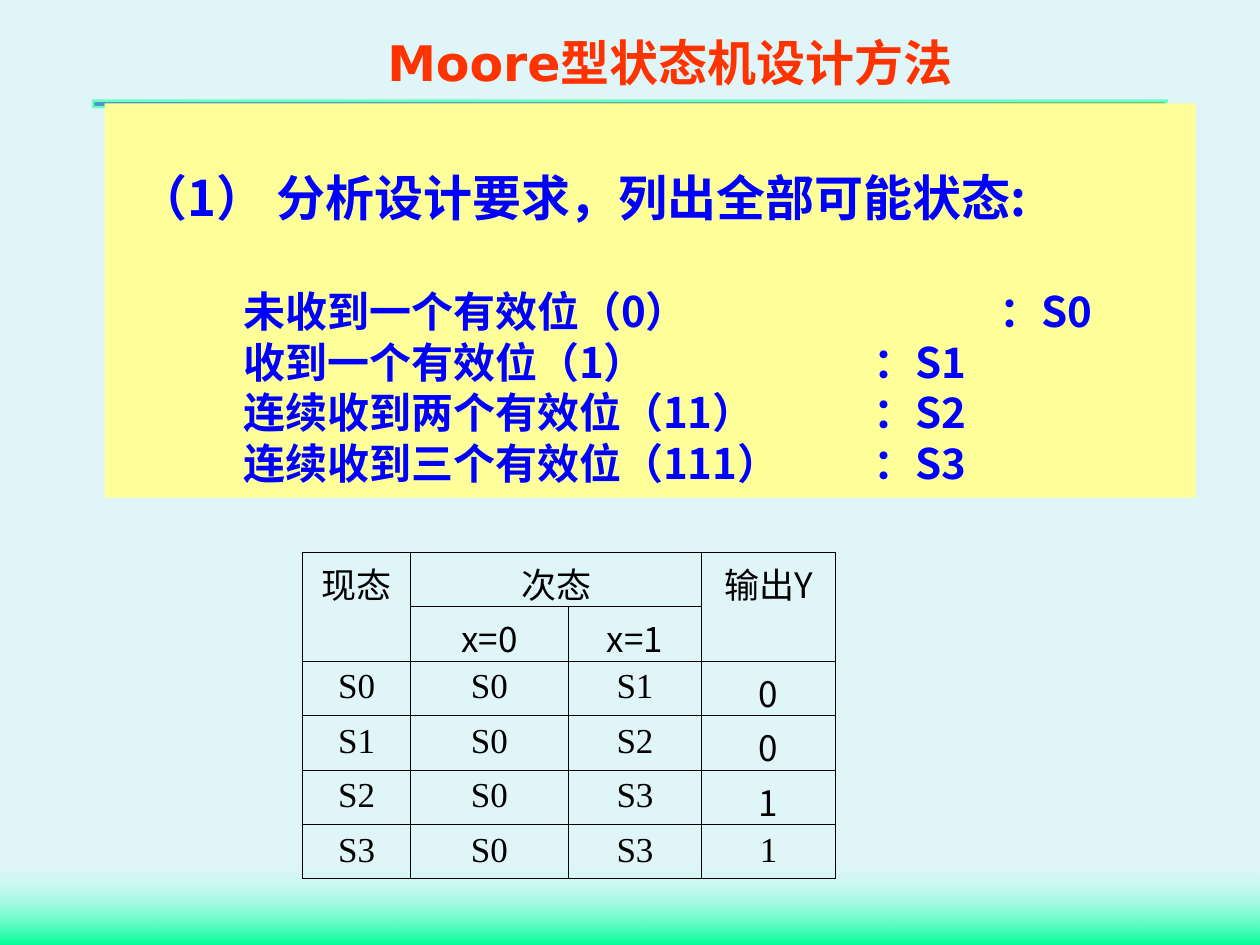
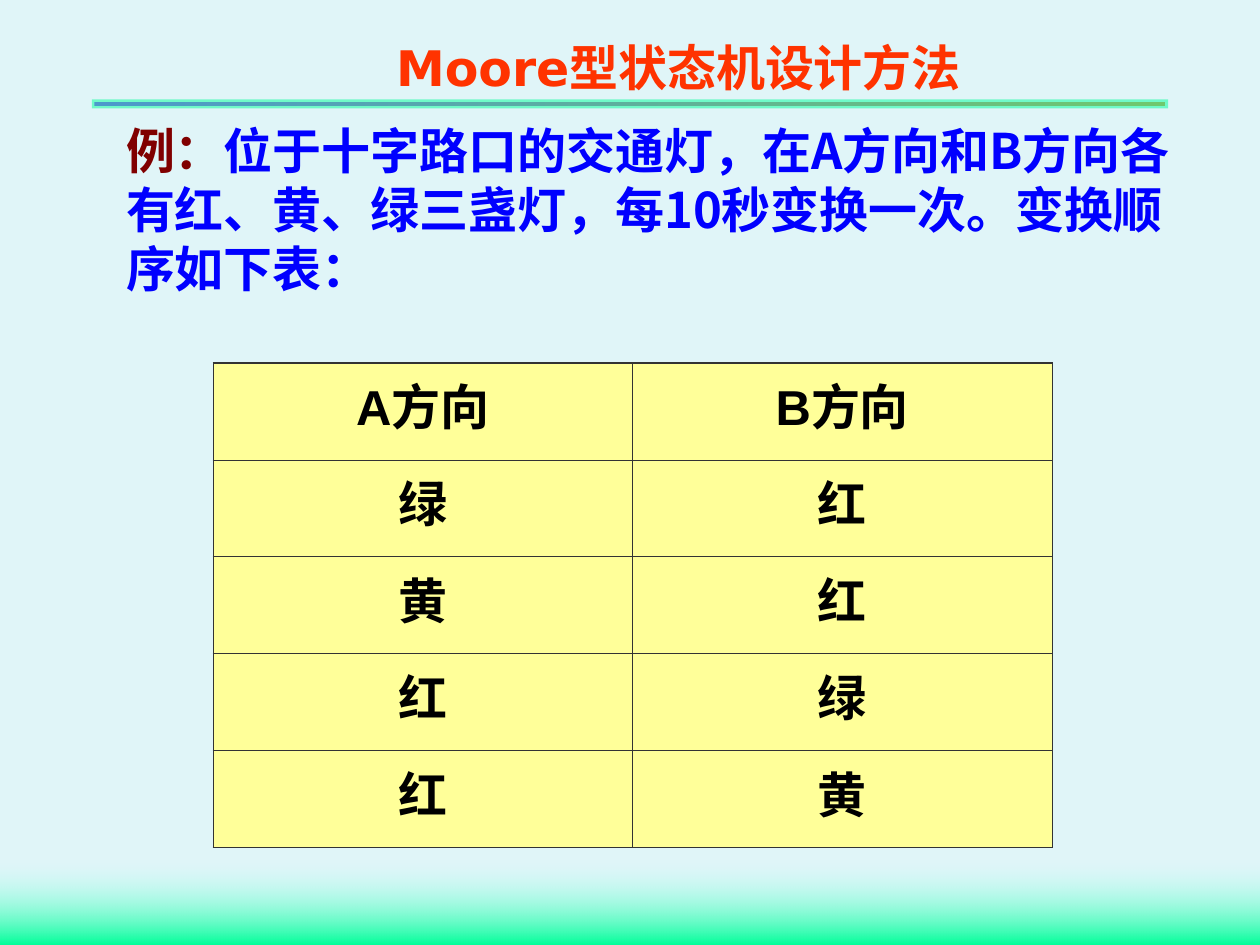
from lxml import etree
from pptx import Presentation
from pptx.dml.color import RGBColor
from pptx.enum.shapes import MSO_SHAPE
from pptx.enum.text import MSO_ANCHOR, MSO_AUTO_SIZE, PP_ALIGN
from pptx.oxml.ns import qn
from pptx.util import Inches, Pt

SKY = RGBColor(0xE0, 0xF5, 0xF8)
AQUA = RGBColor(0xCC, 0xFF, 0xFF)
GREEN = RGBColor(0x00, 0xFF, 0x99)
VIOLET = RGBColor(0x99, 0x33, 0xFF)
ORANGE = RGBColor(0xE0, 0x91, 0x42)
YELLOW = RGBColor(0xFF, 0xFF, 0x99)
RED = RGBColor(0xFF, 0x33, 0x00)
MAROON = RGBColor(0x80, 0x00, 0x00)
BLUE = RGBColor(0x00, 0x00, 0xFF)
BLACK = RGBColor(0x00, 0x00, 0x00)
GREY = RGBColor(0x33, 0x33, 0x33)

HAN, SERIF, SANS, HEADING = "Noto Sans CJK SC", "Times New Roman", "Arial", "DejaVu Sans"
TITLE = "Moore型状态机设计方法"

STATES = [
    "\t未收到一个有效位（0）\t\t\t：S0",
    "\t收到一个有效位（1）\t\t：S1",
    "\t连续收到两个有效位（11）\t：S2",
    "\t连续收到三个有效位（111）\t：S3",
]
TRANSITIONS = [
    ["现态", "次态", "", "输出Y"],
    ["", "x=0", "x=1", ""],
    ["S0", "S0", "S1", "0"],
    ["S1", "S0", "S2", "0"],
    ["S2", "S0", "S3", "1"],
    ["S3", "S0", "S3", "1"],
]
HAN_CELLS = {(1, 1), (1, 2), (2, 3), (3, 3), (4, 3)}
LIGHTS = [("A方向", "B方向"), ("绿", "红"), ("黄", "红"), ("红", "绿"), ("红", "黄")]


def set_font(para, name, size, color, bold=False):
    font = para.font
    font.name, font.size, font.bold = name, Pt(size), bold
    font.color.rgb = color
    defaults = para._p.pPr.find(qn("a:defRPr"))
    etree.SubElement(defaults, qn("a:ea")).set("typeface", HAN)


def plain_paragraph(para, indent=0):
    props = para._p.get_or_add_pPr()
    props.set("marL", str(Inches(indent)))
    props.set("indent", "0")
    props.set("defTabSz", str(Inches(1)))
    etree.SubElement(props, qn("a:buNone"))
    stops = etree.SubElement(props, qn("a:tabLst"))
    for stop in range(1, 8):
        etree.SubElement(stops, qn("a:tab"), pos=str(Inches(stop)), algn="l")
    para.space_before = Pt(0)


def place(shape, box):
    shape.left, shape.top, shape.width, shape.height = map(Inches, box)
    frame = shape.text_frame
    frame.auto_size = MSO_AUTO_SIZE.NONE
    frame.vertical_anchor = MSO_ANCHOR.TOP
    frame.word_wrap = True
    return frame


def set_alpha(color, percent):
    etree.SubElement(color, qn("a:alpha"), val=str(percent * 1000))


def add_gradient_bar(page, box, colors, angle):
    bar = page.shapes.add_shape(MSO_SHAPE.RECTANGLE, *map(Inches, box))
    bar.shadow.inherit = False
    bar.fill.gradient()
    bar.fill.gradient_angle = angle
    for stop, color, position in zip(bar.fill.gradient_stops, colors, (0, 1)):
        stop.color.rgb, stop.position = color, position
    bar.line.fill.background()
    return bar


def decorate_master(deck, page):
    master = deck.slide_master
    master.background.fill.solid()
    master.background.fill.fore_color.rgb = SKY
    band = add_gradient_bar(page, (0, 6.83, 10, 0.67), (AQUA, GREEN), 270)
    set_alpha(band._element.spPr.find(".//" + qn("a:srgbClr")), 0)
    rule = add_gradient_bar(page, (0.75, 0.81, 8.5, 0.03), (VIOLET, ORANGE), 0)
    rule.line.color.rgb = GREEN
    rule.line.width = Pt(3)
    outline = rule.line._ln
    set_alpha(outline.find(".//" + qn("a:srgbClr")), 50)
    etree.SubElement(outline, qn("a:miter"), lim="800000")
    for bar in (band, rule):
        master.shapes.element.append(bar._element)


def add_title(page, box):
    frame = place(page.shapes.title, box)
    frame.text = TITLE
    para = frame.paragraphs[0]
    para.alignment = PP_ALIGN.CENTER
    set_font(para, HEADING, 28, RED, True)


def add_state_list(page, box):
    panel = page.placeholders[1]
    frame = place(panel, box)
    frame.margin_top = Inches(0.51)
    panel.fill.solid()
    panel.fill.fore_color.rgb = YELLOW
    para = frame.paragraphs[0]
    para.text = "（1） 分析设计要求，列出全部可能状态:"
    plain_paragraph(para, 0.17)
    para.space_after = Pt(34)
    set_font(para, HAN, 28, BLUE, True)
    for state in STATES:
        para = frame.add_paragraph()
        para.text = state
        plain_paragraph(para)
        set_font(para, HAN, 24, BLUE, True)


def add_example(page, box):
    para = place(page.placeholders[1], box).paragraphs[0]
    plain_paragraph(para)
    set_font(para, HAN, 28, BLUE, True)
    label = para.add_run()
    label.text = "例："
    label.font.color.rgb = MAROON
    para.add_run().text = "位于十字路口的交通灯，在A方向和B方向各有红、黄、绿三盏灯，每10秒变换一次。变换顺序如下表："


def set_borders(cell, color, widths):
    props = cell._tc.get_or_add_tcPr()
    for side, width in zip("LRTB", widths):
        line = etree.SubElement(props, qn("a:ln" + side), w=str(Pt(width)))
        fill = etree.SubElement(line, qn("a:solidFill"))
        etree.SubElement(fill, qn("a:srgbClr"), val=str(color))


def add_grid(page, left, top, columns, row_height, rows):
    size = (sum(columns), row_height * len(rows))
    table = page.shapes.add_table(len(rows), len(columns), *map(Inches, (left, top, *size))).table
    table.first_row = table.horz_banding = False
    for column, width in zip(table.columns, columns):
        column.width = Inches(width)
    for row, texts in zip(table.rows, rows):
        row.height = Inches(row_height)
        for cell, text in zip(row.cells, texts):
            cell.text = text
            cell.text_frame.paragraphs[0].alignment = PP_ALIGN.CENTER
    return table


def add_transition_table(page, left, top):
    table = add_grid(page, left, top, (0.86, 1.25, 1.06, 1.06), 0.43, TRANSITIONS)
    for r, row in enumerate(table.rows):
        for c, cell in enumerate(row.cells):
            cell.margin_left = cell.margin_right = Inches(0.08)
            set_borders(cell, BLACK, [0.45] * 4)
            cell.fill.background()
            para = cell.text_frame.paragraphs[0]
            if r == 0 or (r, c) in HAN_CELLS:
                para.line_spacing = 0.8
                cell.margin_top, cell.margin_bottom = Inches(0.11), 0
            set_font(para, HAN if (r, c) in HAN_CELLS else SERIF, 20, BLACK)
    output = table.cell(0, 3).text_frame.paragraphs[0]
    output.runs[0].text = "输出"
    span = output.add_run()
    span.text, span.font.name = "Y", HAN
    for start, end in (((0, 0), (1, 0)), ((0, 1), (0, 2)), ((0, 3), (1, 3))):
        table.cell(*start).merge(table.cell(*end))


def add_light_table(page, left, top):
    table = add_grid(page, left, top, (3.33, 3.33), 0.77, LIGHTS)
    for r, row in enumerate(table.rows):
        for cell in row.cells:
            set_borders(cell, GREY, (0.45, 0.45, 0.45 if r else 1.08, 0.45))
            cell.fill.solid()
            cell.fill.fore_color.rgb = YELLOW
            set_font(cell.text_frame.paragraphs[0], SANS, 28, BLACK, True)


def build_state_page(page):
    add_title(page, (1.98, 0.21, 6.67, 0.57))
    add_state_list(page, (0.83, 0.82, 8.66, 3.13))
    add_transition_table(page, 2.4, 4.38)


def build_example_page(page):
    add_title(page, (2.12, 0.25, 6.53, 0.57))
    add_example(page, (0.9, 0.91, 8.5, 1.5))
    add_light_table(page, 1.69, 2.88)


def main():
    deck = Presentation()
    deck.slide_width, deck.slide_height = Inches(10), Inches(7.5)
    layout = deck.slide_layouts[1]
    pages = [deck.slides.add_slide(layout) for _ in range(2)]
    decorate_master(deck, pages[0])
    build_state_page(pages[0])
    build_example_page(pages[1])
    deck.save("out.pptx")


if __name__ == "__main__":
    main()
